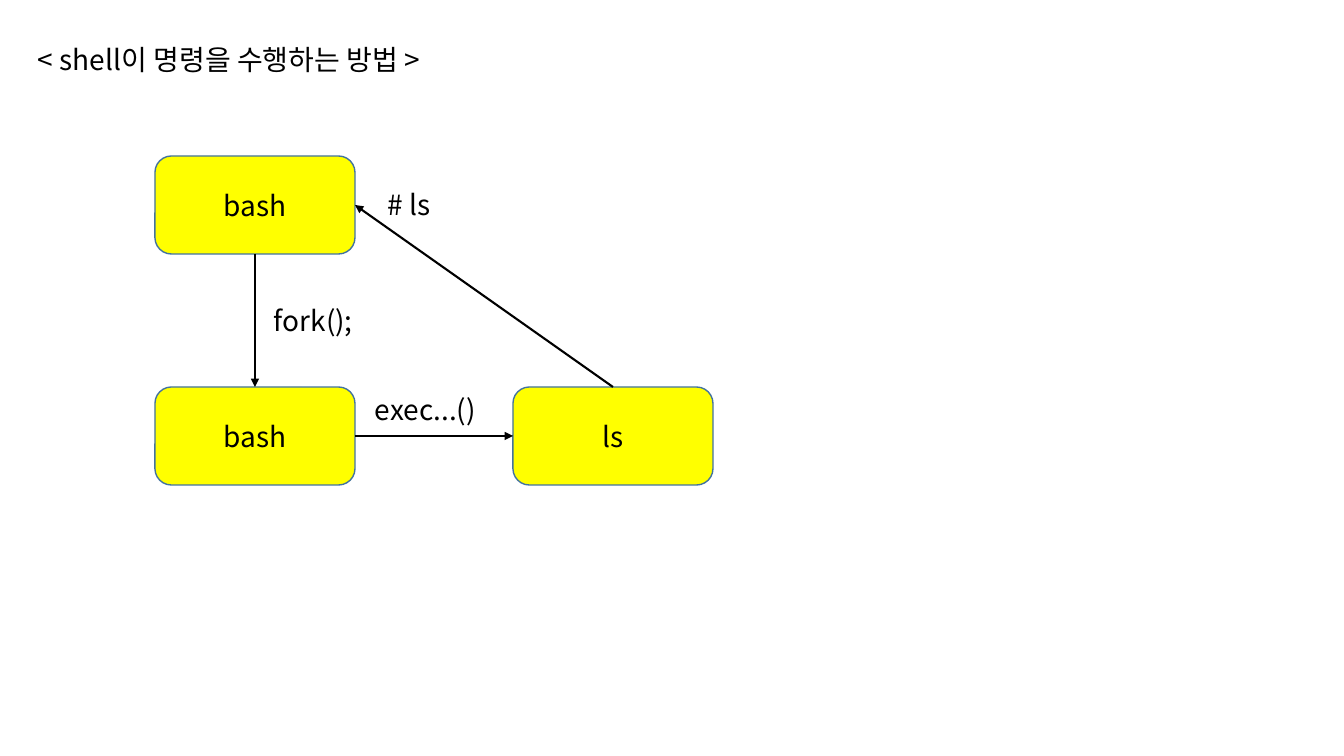
from dataclasses import dataclass

from lxml.etree import SubElement
from pptx import Presentation
from pptx.dml.color import RGBColor
from pptx.enum.shapes import MSO_CONNECTOR, MSO_SHAPE
from pptx.enum.text import MSO_ANCHOR, MSO_AUTO_SIZE, PP_ALIGN
from pptx.oxml.ns import qn
from pptx.util import Emu, Pt


@dataclass(frozen=True)
class Theme:
    """Colours, font and sizes of the slide."""
    ink: RGBColor = RGBColor(0x00, 0x00, 0x00)
    process_fill: RGBColor = RGBColor(0xFF, 0xFF, 0x00)
    process_line: RGBColor = RGBColor(0x43, 0x73, 0x9E)
    font: str = "Noto Sans CJK KR"
    text_size: Pt = Pt(20)
    outline: Pt = Pt(1)
    arrow: Pt = Pt(1.5)


THEME = Theme()
PIXEL = 914400 / 100.8


def px(*lengths):
    """Turn pixel lengths into a list of EMU lengths."""
    return [Emu(round(length * PIXEL)) for length in lengths]


def write(frame, text):
    """Put one line of text in a frame, in the theme's type."""
    frame.text = text
    for run in frame.paragraphs[0].runs:
        run.font.name = THEME.font
        run.font.size = THEME.text_size
        run.font.color.rgb = THEME.ink
        SubElement(run.font._element, qn("a:ea"), typeface=THEME.font)


deck = Presentation()
deck.slide_width, deck.slide_height = px(1344, 756)
slide = deck.slides.add_slide(deck.slide_layouts[6])

# Processes: the shell above, its child below, the command beside the child
LEFT, RIGHT = 155, 513
TOP, BOTTOM = 156, 387
processes = {}
for role, name, x, y in [
    ("shell", "bash", LEFT, TOP),
    ("child", "bash", LEFT, BOTTOM),
    ("command", "ls", RIGHT, BOTTOM),
]:
    process = slide.shapes.add_shape(MSO_SHAPE.ROUNDED_RECTANGLE, *px(x, y, 200, 98))
    process.shadow.inherit = False
    process.fill.solid()
    process.fill.fore_color.rgb = THEME.process_fill
    process.line.color.rgb = THEME.process_line
    process.line.width = THEME.outline
    write(process.text_frame, name)
    process.text_frame.vertical_anchor = MSO_ANCHOR.MIDDLE
    process.text_frame.paragraphs[0].alignment = PP_ALIGN.CENTER
    processes[role] = process

# Arrows between connection sites: 0 top, 1 left, 2 bottom, 3 right
for source, source_site, target, target_site in [
    ("shell", 2, "child", 0),
    ("child", 3, "command", 1),
    ("command", 0, "shell", 3),
]:
    step = slide.shapes.add_connector(MSO_CONNECTOR.STRAIGHT, *px(0, 0, 0, 0))
    step.begin_connect(processes[source], source_site)
    step.end_connect(processes[target], target_site)
    step.line.color.rgb = THEME.ink
    step.line.width = THEME.arrow
    SubElement(step.line._get_or_add_ln(), qn("a:tailEnd"), type="triangle")
    SubElement(step._element.spPr, qn("a:effectLst"))

# Heading and step captions
for wording, x, y, width in [
    ("< shell이 명령을 수행하는 방법 >", 28, 38, 473),
    ("# ls", 378, 183, 77),
    ("fork();", 264, 299, 119),
    ("exec...()", 365, 388, 147),
]:
    caption = slide.shapes.add_textbox(*px(x, y, width, 44)).text_frame
    write(caption, wording)
    caption.word_wrap = False
    caption.auto_size = MSO_AUTO_SIZE.SHAPE_TO_FIT_TEXT

deck.save("out.pptx")
